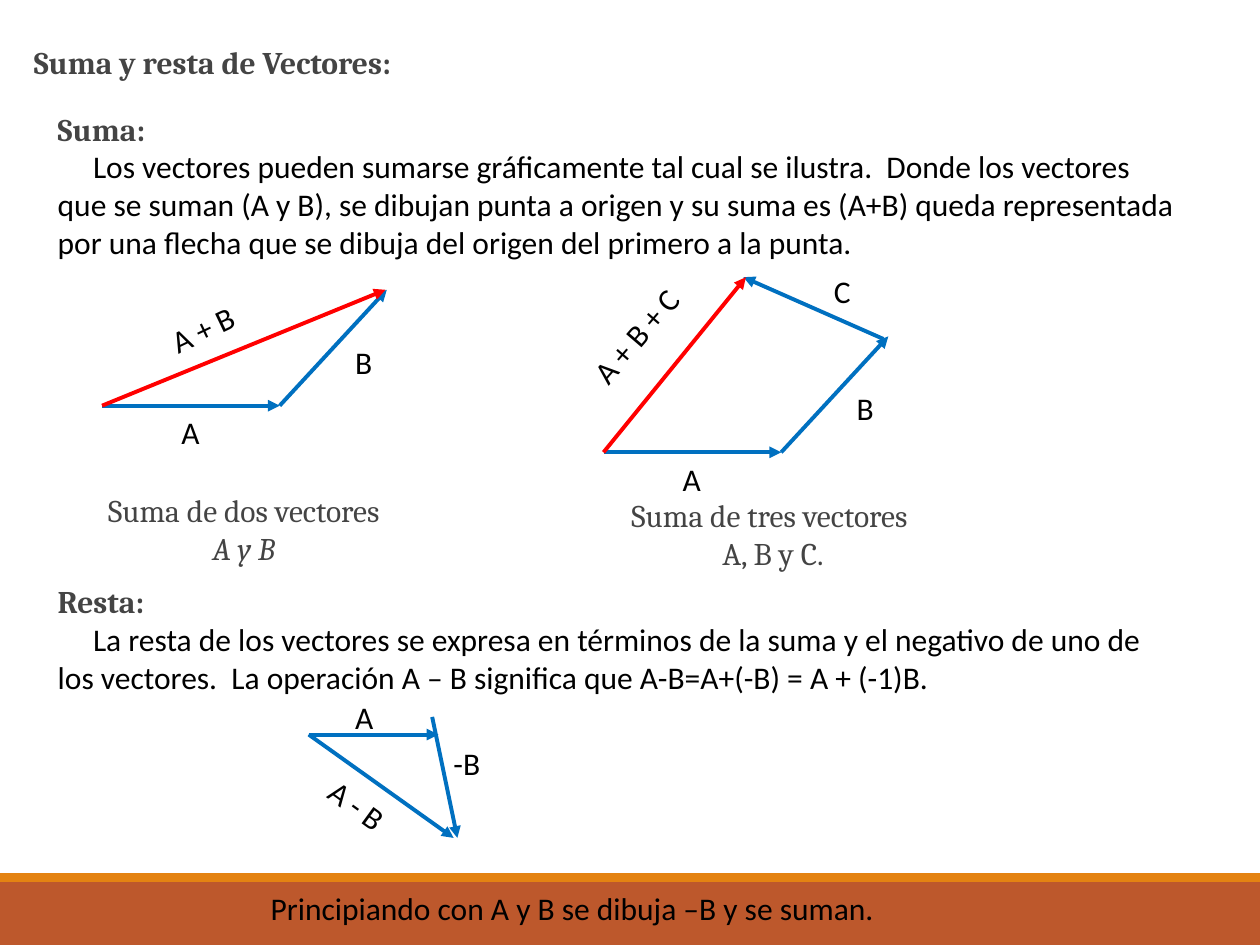
from pptx import Presentation
from pptx.util import Inches, Pt
from pptx.dml.color import RGBColor
from pptx.enum.shapes import MSO_CONNECTOR, MSO_SHAPE
from pptx.enum.text import PP_ALIGN
from pptx.oxml.ns import qn
from lxml.etree import SubElement

theme = {
    "ink": "000000", "gray": "444444", "blue": "0070C0", "red": "FF0000",
    "rust": "BD582C", "amber": "E48312",
    "body": "Calibri", "head": "Cambria", "size": 18, "line": 2.25,
}

deck = Presentation()
deck.slide_width, deck.slide_height = Inches(10), Inches(7.5)
slide = deck.slides.add_slide(deck.slide_layouts[6])


def write(*lines, at, turn=0, wrap=True, align=PP_ALIGN.LEFT, **base):
    """Add a text box; each line is a string or a (string, format) pair."""
    box = slide.shapes.add_textbox(*map(Inches, at))
    box.rotation = turn
    frame = box.text_frame
    frame.word_wrap = wrap
    for i, line in enumerate(lines):
        text, extra = (line, {}) if isinstance(line, str) else line
        look = {"font": "body", "color": "ink", **base, **extra}
        para = frame.paragraphs[0] if i == 0 else frame.add_paragraph()
        para.alignment = align
        if "indent" in look:
            para._p.get_or_add_pPr().set("indent", str(Inches(look["indent"])))
        run = para.add_run()
        run.text = text
        font = run.font
        font.name, font.size = theme[look["font"]], Pt(theme["size"])
        font.bold, font.italic = look.get("bold", False), look.get("italic", False)
        font.color.rgb = RGBColor.from_string(theme[look["color"]])


def arrow(start, end, color="blue"):
    """Draw a vector with its head at the end point."""
    line = slide.shapes.add_connector(
        MSO_CONNECTOR.STRAIGHT, *map(Inches, (*start, *end)))
    line.line.color.rgb = RGBColor.from_string(theme[color])
    line.line.width = Pt(theme["line"])
    SubElement(line.line._get_or_add_ln(), qn("a:tailEnd"), type="triangle")
    SubElement(line._element.spPr, qn("a:effectLst"))


# Footer bands
for top, height, color in ((7, 0.5, "rust"), (6.93, 0.07, "amber")):
    band = slide.shapes.add_shape(
        MSO_SHAPE.RECTANGLE, 0, Inches(top), Inches(10), Inches(height))
    band.shadow.inherit = False
    band.fill.solid()
    band.fill.fore_color.rgb = RGBColor.from_string(theme[color])
    band.line.fill.background()

# Headings and paragraphs
title = {"font": "head", "color": "gray", "bold": True}
first = {"indent": 0.28}
write("Suma y resta de Vectores:", at=(0.17, 0.29, 3.58, 0.4), **title)
write(("Suma:", title),
      ("Los vectores pueden sumarse gráficamente tal cual se ilustra.  Donde los "
       "vectores que se suman (A y B), se dibujan punta a origen y su suma es (A+B) "
       "queda representada por una flecha que se dibuja del origen del primero a la "
       "punta.", first),
      at=(0.36, 0.82, 9.11, 1.31))
write(("Resta:", title),
      ("La resta de los vectores se expresa en términos de la suma y el negativo de "
       "uno de los vectores.  La operación A – B significa que "
       "A-B=A+(-B) = A + (-1)B.", first),
      at=(0.36, 4.57, 9.11, 1.01))
write("Principiando con A y B se dibuja –B y se suman.", at=(2.05, 7.01, 5, 0.4))

# Captions
note = {"font": "head", "color": "gray", "align": PP_ALIGN.CENTER}
write("Suma de dos vectores", ("A y B", {"italic": True}),
      at=(0.54, 3.85, 2.79, 0.71), **note)
write("Suma de tres vectores ", "A, B y C.", at=(4.68, 3.89, 2.91, 0.71), **note)

# Vectors A and B, shared by both sums
for x, y in ((0.81, 3.22), (4.79, 3.59)):
    bend = (x + 1.41, y)
    arrow((x, y), bend)
    arrow(bend, (x + 2.26, y - 0.92))
    write("A", at=(x + 0.53, y + 0.01, 0.35, 0.4), wrap=False)
    write("B", at=(x + 1.91, y - 0.55, 0.34, 0.4), wrap=False)

# Remaining vectors: third side, results and difference
for start, end, color in (
    ((7.01, 2.69), (5.9, 2.2), "blue"),
    ((0.81, 3.22), (3.06, 2.3), "red"),
    ((4.79, 3.59), (5.92, 2.2), "red"),
    ((2.45, 5.83), (3.48, 5.83), "blue"),
    ((2.45, 5.83), (3.6, 6.65), "blue"),
    ((3.43, 5.69), (3.63, 6.65), "blue"),
):
    arrow(start, end, color)

# Remaining labels
for text, x, y, width, turn in (
    ("A + B", 1.25, 2.41, 0.73, 334.5),
    ("A + B + C", 4.5, 2.46, 1.1, 310.7),
    ("C", 6.52, 2.11, 0.34, 0),
    ("A", 2.72, 5.49, 0.35, 0),
    ("A - B", 2.5, 6.19, 0.68, 36),
    ("-B", 3.5, 5.86, 0.42, 0),
):
    write(text, at=(x, y, width, 0.4), turn=turn, wrap=False)

deck.save("out.pptx")
